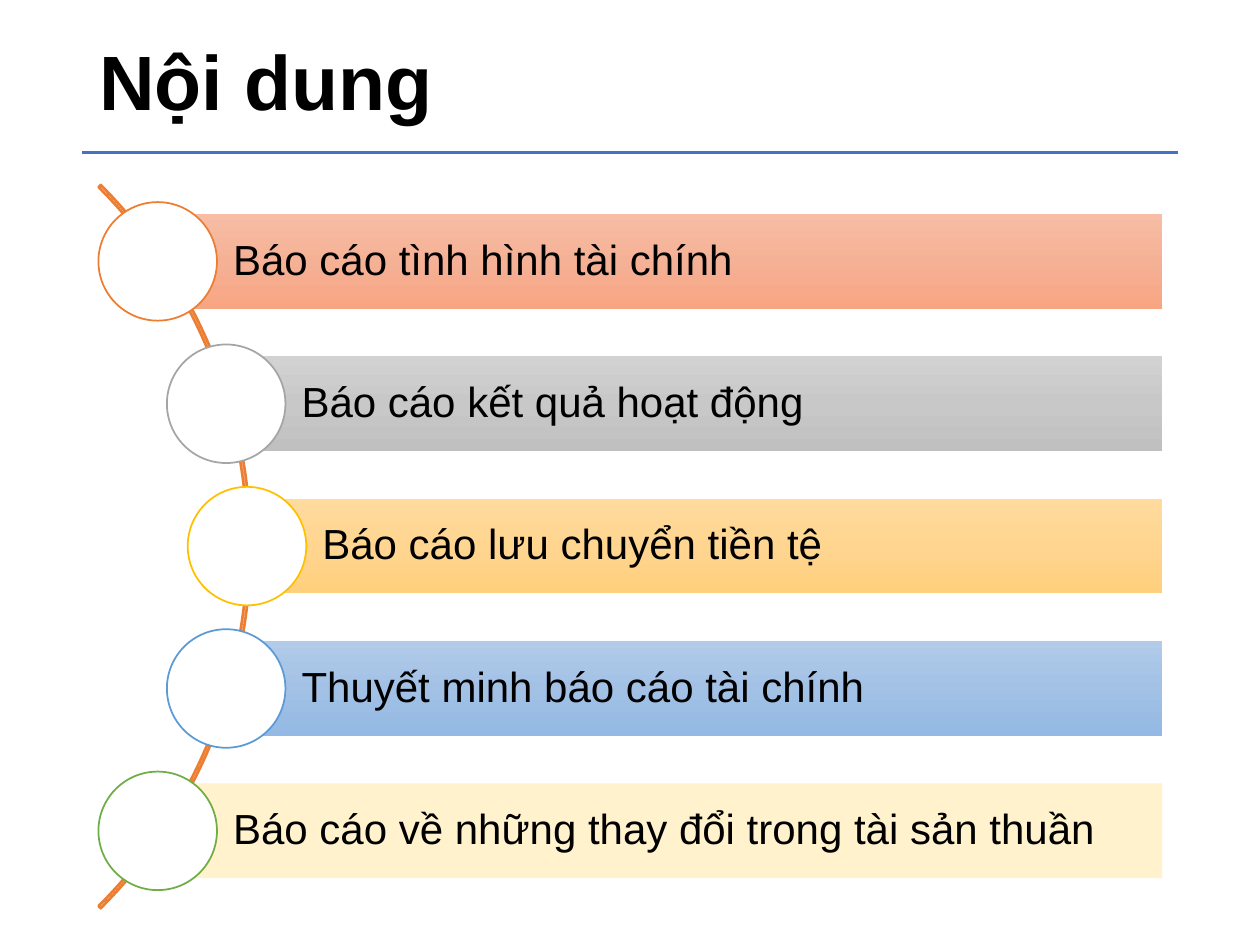
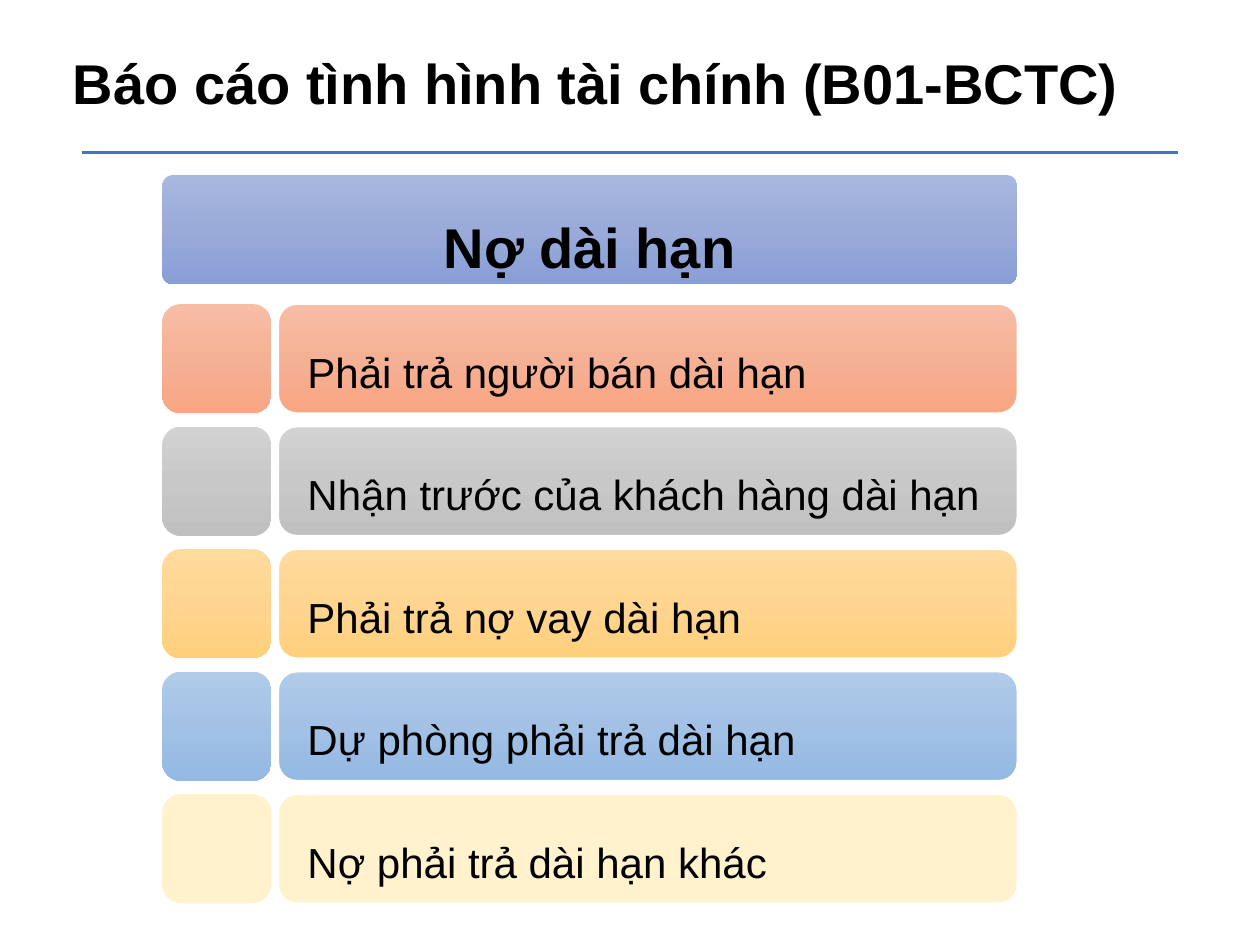
from copy import deepcopy

from pptx import Presentation
from pptx.dml.color import RGBColor
from pptx.enum.shapes import MSO_CONNECTOR, MSO_SHAPE
from pptx.enum.text import MSO_ANCHOR, PP_ALIGN
from pptx.oxml.ns import qn
from pptx.util import Cm, Pt
from lxml import etree

COLORS = {
    "text": "000000", "white": "FFFFFF", "rule": "4472C4", "arc": "ED7D31",
    "indigo_light": "A8B7DF", "indigo": "9AABD9", "indigo_deep": "889ED7",
    "coral_light": "F7BDA5", "coral": "F5B196", "coral_deep": "F8A582",
    "gray_light": "D2D2D2", "gray": "C8C8C8", "gray_deep": "C0C0C0",
    "amber_light": "FFDB9E", "amber": "FFD590", "amber_deep": "FFD07C",
    "blue_light": "B1CBE9", "blue": "A3C1E5", "blue_deep": "93B9E4",
    "cream": "FFF2CC",
    "coral_ring": "ED7D31", "gray_ring": "A5A5A5", "amber_ring": "FFC000",
    "blue_ring": "5B9BD5", "cream_ring": "70AD47",
}
ROW_TONES = ["coral", "gray", "amber", "blue", "cream"]


def rgb(name):
    return RGBColor.from_string(COLORS[name])


class Deck:
    """Holds the shared style and the slide being built."""
    font = "Arial"

    def __init__(self):
        self.prs = Presentation()
        self.prs.slide_width, self.prs.slide_height = Cm(25.4), Cm(19.05)
        self.s = None

    def new_slide(self, title, size, box, **style):
        """Start a slide with its title and the rule below it."""
        self.s = self.prs.slides.add_slide(self.prs.slide_layouts[6])
        self.rule(1.65, 23.75, 3.07)
        sp = self.s.shapes.add_textbox(*map(Cm, box))
        self.set_text(sp, title, size, bold=True, **style)

    def rule(self, left, right, y):
        line = self.s.shapes.add_connector(
            MSO_CONNECTOR.STRAIGHT, Cm(left), Cm(y), Cm(right), Cm(y))
        line.line.color.rgb = rgb("rule")
        line.line.width = Pt(1.5)
        etree.SubElement(line._element.spPr, qn("a:effectLst"))

    def shape(self, kind, box, tone=None, line=None, width=1, adjust=()):
        sp = self.s.shapes.add_shape(kind, *map(Cm, box))
        sp.shadow.inherit = False
        for i, value in enumerate(adjust):
            sp.adjustments[i] = value
        self.paint(sp, tone)
        if line:
            sp.line.color.rgb = rgb(line)
            sp.line.width = Pt(width)
        else:
            sp.line.fill.background()
        return sp

    def paint(self, sp, tone):
        """Fill with a three-step gradient where the tone has one."""
        if tone is None:
            sp.fill.background()
        elif tone + "_light" not in COLORS:
            sp.fill.solid()
            sp.fill.fore_color.rgb = rgb(tone)
        else:
            sp.fill.gradient()
            sp.fill.gradient_angle = 270
            first = next(sp._element.spPr.iter(qn("a:gs")))
            first.addnext(deepcopy(first))
            names = [tone + "_light", tone, tone + "_deep"]
            for stop, name, pos in zip(sp.fill.gradient_stops, names, (0, 0.5, 1)):
                stop.color.rgb = rgb(name)
                stop.position = pos

    def set_text(self, sp, text, size, bold=False, align=PP_ALIGN.LEFT,
                 spacing=1.0, insets=(0.25, 0.13, 0.25, 0.13)):
        tf = sp.text_frame
        tf.text = text
        tf.word_wrap = True
        tf.vertical_anchor = MSO_ANCHOR.MIDDLE
        (tf.margin_left, tf.margin_top,
         tf.margin_right, tf.margin_bottom) = map(Cm, insets)
        p = tf.paragraphs[0]
        p.alignment = align
        p.line_spacing = spacing
        for r in p.runs:
            r.font.name = self.font
            r.font.size = Pt(size)
            r.font.bold = bold
            r.font.color.rgb = rgb("text")


def add_contents(deck):
    deck.new_slide("Nội dung", 44, (1.75, 0.38, 21.9, 2.69), spacing=0.9)
    deck.shape(MSO_SHAPE.BLOCK_ARC, (-15.57, 0.71, 20.62, 20.62),
               line="arc", width=1.5, adjust=(189, 27, 0.003))
    reports = [
        "Báo cáo tình hình tài chính",
        "Báo cáo kết quả hoạt động",
        "Báo cáo lưu chuyển tiền tệ",
        "Thuyết minh báo cáo tài chính",
        "Báo cáo về những thay đổi trong tài sản thuần",
    ]
    centers = [3.18, 4.56, 4.98, 4.56, 3.18]
    bar_h, ring, right = 1.91, 2.39, 23.43
    for i, (text, tone, x) in enumerate(zip(reports, ROW_TONES, centers)):
        y = 5.27 + 2.87 * i
        bar = deck.shape(MSO_SHAPE.RECTANGLE,
                         (x, y - bar_h / 2, right - x, bar_h), tone)
        deck.set_text(bar, text, 24, spacing=0.9,
                      insets=(1.52, 0.18, 0.18, 0.18))
        deck.shape(MSO_SHAPE.OVAL, (x - ring / 2, y - ring / 2, ring, ring),
                   "white", line=tone + "_ring")


def add_long_term_debt(deck):
    deck.new_slide("Báo cáo tình hình tài chính (B01-BCTC)", 32,
                   (1.22, 0.84, 21.97, 1.62), align=PP_ALIGN.JUSTIFY)
    left, item_left, right, size = 3.27, 5.61, 20.51, 2.2
    header = deck.shape(MSO_SHAPE.ROUNDED_RECTANGLE,
                        (left, 3.53, right - left, size), "indigo", adjust=[0.1])
    deck.set_text(header, "Nợ dài hạn", 32, bold=True, align=PP_ALIGN.CENTER,
                  spacing=1.5, insets=(0.18, 0.1, 0.18, 0.1))
    debts = [
        "Phải trả người bán dài hạn",
        "Nhận trước của khách hàng dài hạn",
        "Phải trả nợ vay dài hạn",
        "Dự phòng phải trả dài hạn",
        "Nợ phải trả dài hạn khác",
    ]
    for i, (text, tone) in enumerate(zip(debts, ROW_TONES)):
        y = 6.13 + 2.47 * i
        deck.shape(MSO_SHAPE.ROUNDED_RECTANGLE, (left, y, size, size),
                   tone, adjust=[0.17])
        item = deck.shape(MSO_SHAPE.ROUNDED_RECTANGLE,
                          (item_left, y, right - item_left, size),
                          tone, line="white", adjust=[0.17])
        deck.set_text(item, text, 24, align=PP_ALIGN.JUSTIFY, spacing=1.5,
                      insets=[0.48] * 4)


def main():
    deck = Deck()
    add_contents(deck)
    add_long_term_debt(deck)
    deck.prs.save("out.pptx")


if __name__ == "__main__":
    main()
